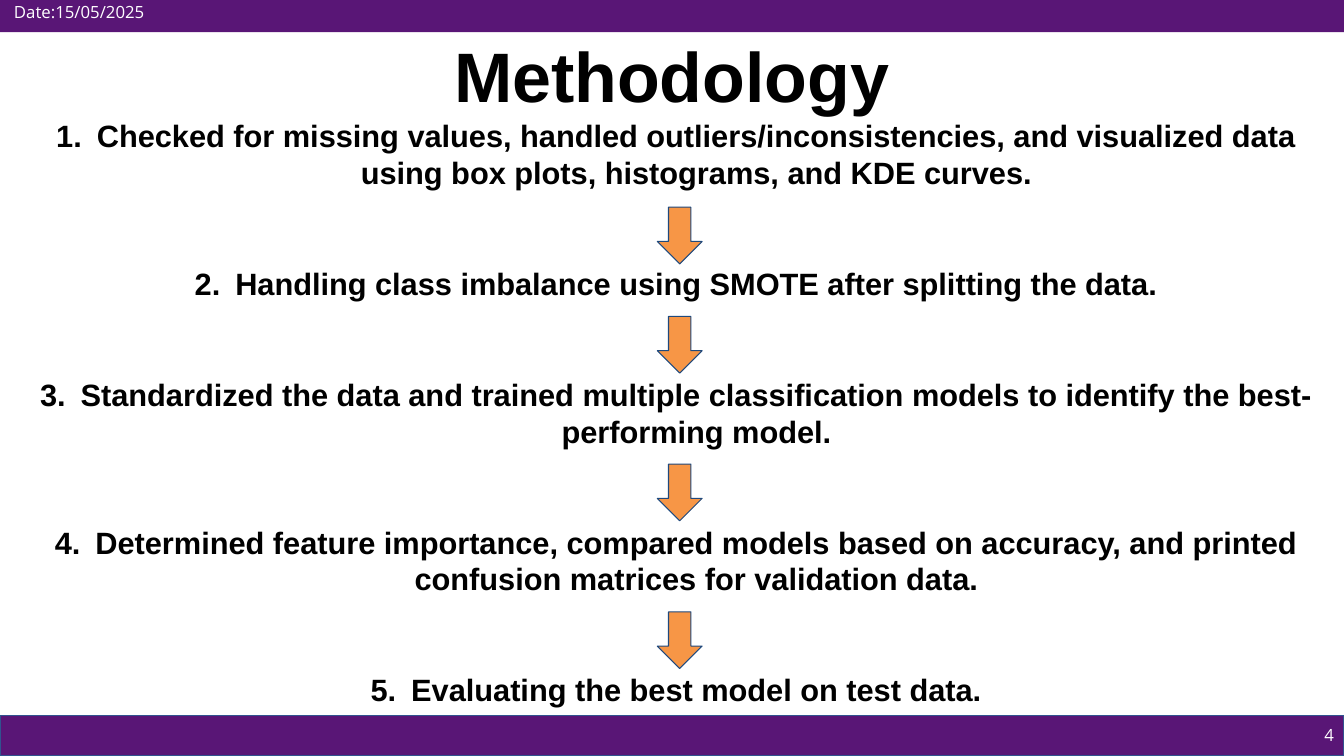
import pptx
import pptx.dml.color
import pptx.enum.shapes
import pptx.enum.text
import pptx.oxml
import pptx.oxml.ns
import pptx.util

Pt = pptx.util.Pt
Shapes = pptx.enum.shapes.MSO_SHAPE
Align = pptx.enum.text.PP_ALIGN

STEPS = [
    "Checked for missing values, handled outliers/inconsistencies, and visualized data "
    "using box plots, histograms, and KDE curves.",
    "Handling class imbalance using SMOTE after splitting the data.",
    "Standardized the data and trained multiple classification models to identify the "
    "best-performing model.",
    "Determined feature importance, compared models based on accuracy, and printed "
    "confusion matrices for validation data.",
    "Evaluating the best model on test data.",
]
ARROW_TOPS = [148, 226, 331.5, 437]
SLIDE_WIDTH, SLIDE_HEIGHT = 960, 540


def color(hex_string):
    return pptx.dml.color.RGBColor.from_string(hex_string)


class MethodologySlide:
    PURPLE, ORANGE, NAVY, BLUE = "591676", "F79646", "1F497D", "31538F"
    BLACK, WHITE = "000000", "FFFFFF"
    HEADING_FONT, FOOTER_FONT = "Arial", "Open Sans"

    def __init__(self, presentation):
        self.slide = presentation.slides.add_slide(presentation.slide_layouts[6])

    def shape(self, kind, left, top, width, height, fill, line=None, line_width=1):
        shape = self.slide.shapes.add_shape(kind, Pt(left), Pt(top), Pt(width), Pt(height))
        shape.shadow.inherit = False
        shape.fill.solid()
        shape.fill.fore_color.rgb = color(fill)
        if line:
            shape.line.color.rgb = color(line)
            shape.line.width = Pt(line_width)
        else:
            shape.line.fill.background()

    def band(self, top, height, line=None):
        self.shape(Shapes.RECTANGLE, 0, top, SLIDE_WIDTH, height, self.PURPLE, line)

    def down_arrow(self, top):
        self.shape(Shapes.DOWN_ARROW, 469.5, top, 32, 40.5, self.ORANGE, self.NAVY, 0.75)

    def text(self, content, left, top, width, height, size, font, ink,
             bold=False, align=Align.LEFT, inset=0):
        box = self.slide.shapes.add_textbox(Pt(left), Pt(top), Pt(width), Pt(height))
        frame = box.text_frame
        frame.word_wrap = inset > 0
        frame.margin_left = frame.margin_right = Pt(inset)
        frame.margin_top = frame.margin_bottom = Pt(inset)
        frame.text = content
        for paragraph in frame.paragraphs:
            paragraph.alignment = align
            for run in paragraph.runs:
                run.font.size = Pt(size)
                run.font.name = font
                run.font.bold = bold
                run.font.color.rgb = color(ink)
        return frame

    def footer_text(self, content, left, top, width):
        self.text(content, left, top, width, 16, 12, self.FOOTER_FONT, self.WHITE)

    def title(self, content):
        self.text(content, 243.5, 16, 473, 75, 50, self.HEADING_FONT, self.BLACK,
                  bold=True, align=Align.CENTER, inset=7.2)

    def numbered_steps(self, steps):
        frame = self.text("\n".join(steps), 5, 76.5, 949, 447, 22, self.HEADING_FONT,
                          self.BLACK, bold=True, align=Align.CENTER, inset=7.2)
        for index, paragraph in enumerate(frame.paragraphs):
            paragraph.space_before = Pt(52.7 if index else 0)
            properties = paragraph._p.get_or_add_pPr()
            properties.set("marL", str(Pt(36)))
            properties.set("indent", str(Pt(-29)))
            numbering = pptx.oxml.parse_xml(
                f'<a:buAutoNum {pptx.oxml.ns.nsdecls("a")} type="arabicPeriod"/>')
            properties.append(numbering)


def main():
    presentation = pptx.Presentation()
    presentation.slide_width = Pt(SLIDE_WIDTH)
    presentation.slide_height = Pt(SLIDE_HEIGHT)

    page = MethodologySlide(presentation)
    page.band(0, 23)
    page.band(511, 29, page.BLUE)
    page.footer_text("4", 946, 517.5, 9)
    page.title("Methodology")
    page.numbered_steps(STEPS)
    for top in ARROW_TOPS:
        page.down_arrow(top)
    page.footer_text("Date:15/05/2025", 10, 1, 114)

    presentation.save("out.pptx")


if __name__ == "__main__":
    main()
